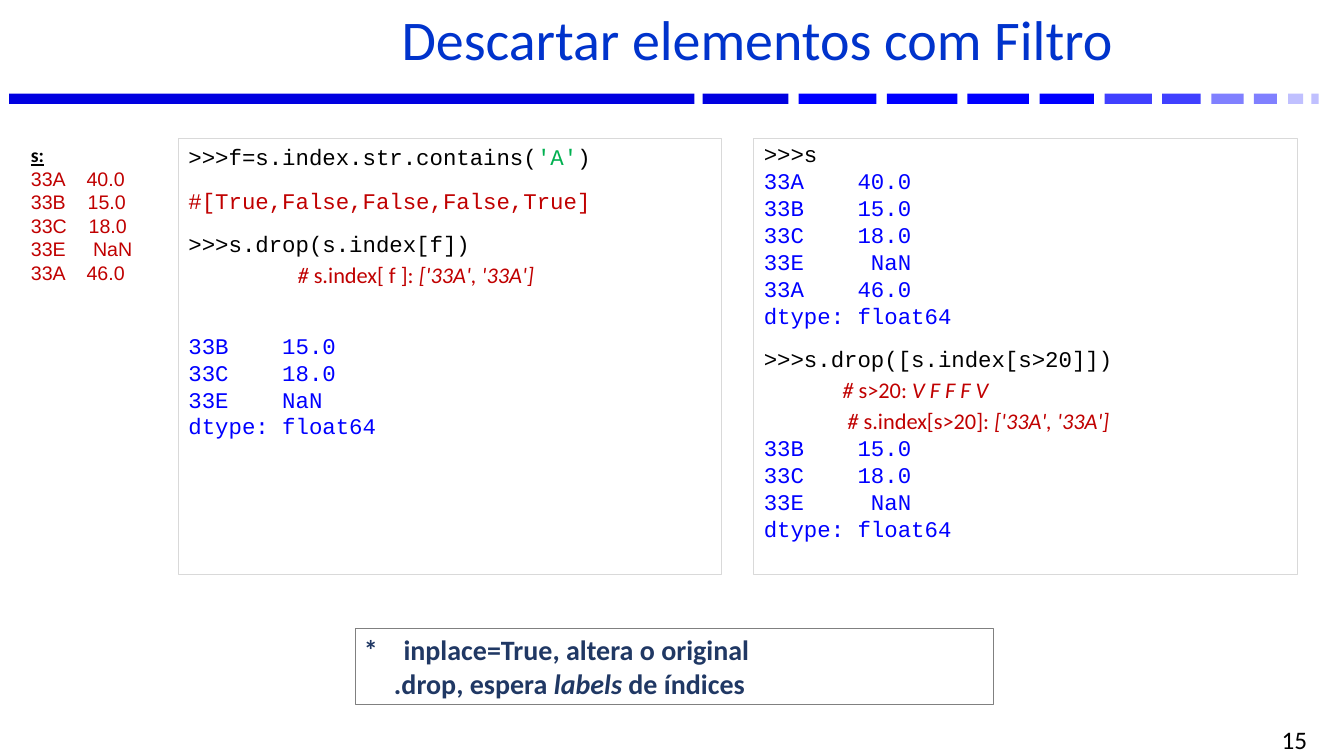
import pptx
import pptx.util
import pptx.dml.color
import pptx.enum.shapes
import pptx.enum.text
import pptx.oxml

COLORS = {
    "title": "0033CC", "black": "000000", "output": "0000FF",
    "comment": "C00000", "string": "00B050", "note": "203864",
    "panel": "D9D9D9", "note_line": "808080",
    "bar_dark": "0000E0", "bar_blue": "0000FF", "bar_mid": "4040FF",
    "bar_light": "8080FF", "bar_pale": "C0C0FF",
}
CODE, SANS, PLAIN = "Courier New", "Calibri", "Arial"
ALIGN = pptx.enum.text.PP_ALIGN
ANCHOR = pptx.enum.text.MSO_ANCHOR


class SlideWriter:
    def __init__(self, slide):
        self.slide = slide

    def rgb(self, name):
        return pptx.dml.color.RGBColor.from_string(COLORS[name])

    def bar(self, left, width, color):
        shape = self.slide.shapes.add_shape(
            pptx.enum.shapes.MSO_SHAPE.RECTANGLE,
            *(pptx.util.Cm(v) for v in (left, 2.36, width, 0.26)))
        shape.shadow.inherit = False
        shape.fill.solid()
        shape.fill.fore_color.rgb = self.rgb(color)
        shape.line.fill.background()

    def box(self, left, top, width, height, paras, line=None,
            anchor=ANCHOR.TOP, inset=(0.25, 0.13)):
        box = self.slide.shapes.add_textbox(
            *(pptx.util.Cm(v) for v in (left, top, width, height)))
        if line:
            box.line.color.rgb = self.rgb(line)
            box.line.width = pptx.util.Pt(0.75)
        frame = box.text_frame
        frame.word_wrap = True
        frame.vertical_anchor = anchor
        frame.margin_left = frame.margin_right = pptx.util.Cm(inset[0])
        frame.margin_top = frame.margin_bottom = pptx.util.Cm(inset[1])
        for index, options in enumerate(paras):
            para = frame.paragraphs[0] if index == 0 else frame.add_paragraph()
            self.para(para, **options)

    def para(self, para, spans, size=16, before=0, margin=0, hanging=0,
             align=ALIGN.LEFT, spacing=None):
        para.alignment = align
        para.space_before = pptx.util.Pt(before)
        if spacing:
            para.line_spacing = spacing
        properties = para._p.get_or_add_pPr()
        properties.set("marL", str(pptx.util.Cm(margin)))
        properties.set("indent", str(-pptx.util.Cm(hanging)))
        for text, font, color, style in spans:
            span = para.add_run()
            span.text = text
            span.font.name = font
            span.font.size = pptx.util.Pt(size)
            span.font.color.rgb = self.rgb(color)
            span.font.bold = "b" in style
            span.font.italic = "i" in style
            span.font.underline = "u" in style


def code(text, color="black", before=0, **options):
    return dict(spans=[(text, CODE, color, "")], before=before,
                margin=1.27, hanging=1.27, **options)


def output(lines, before=0):
    return [code(line, "output", before if index == 0 else 0)
            for index, line in enumerate(lines)]


def comment(mark, label, value, margin, hanging):
    spans = [(mark, SANS, "comment", "i"), (label, SANS, "comment", ""),
             (value, SANS, "comment", "i")]
    return dict(spans=spans, before=3, margin=margin, hanging=hanging)


def main():
    deck = pptx.Presentation()
    deck.slide_width = pptx.util.Cm(33.87)
    deck.slide_height = pptx.util.Cm(19.05)
    page = SlideWriter(deck.slides.add_slide(deck.slide_layouts[6]))

    for left, width, color in [
            (0.23, 17.27, "bar_dark"), (17.71, 2.16, "bar_dark"),
            (20.13, 1.96, "bar_blue"), (22.35, 1.78, "bar_blue"),
            (24.38, 1.55, "bar_blue"), (26.2, 1.37, "bar_blue"),
            (27.84, 1.19, "bar_mid"), (29.29, 0.97, "bar_mid"),
            (30.53, 0.81, "bar_light"), (31.6, 0.58, "bar_light"),
            (32.46, 0.38, "bar_pale"), (33.05, 0.18, "bar_pale")]:
        page.bar(left, width, color)

    page.box(4.93, 0.15, 28.3, 1.96, [dict(
        spans=[("Descartar elementos com Filtro", SANS, "title", "")],
        size=40, align=ALIGN.CENTER, spacing=0.8)], anchor=ANCHOR.MIDDLE)

    series = ["33A    40.0", "33B    15.0", "33C    18.0",
              "33E     NaN", "33A    46.0"]
    kept = series[1:4]
    dtype = "dtype: float64"

    filter_code = dict(before=12, spans=[
        (">>>f=s.index.str.contains(", CODE, "black", ""),
        ("'A'", CODE, "string", ""), (")", CODE, "black", "")])
    page.box(4.5, 3.48, 13.69, 11, [
        filter_code,
        code("#[True,False,False,False,True]", "comment", 12),
        code(">>>s.drop(s.index[f])", before=12),
        comment("# ", "s.index[ f ]:", " ['33A', '33A']", 3.33, 0.58),
        *output([*kept[:2], "33E    NaN", dtype], before=31),
    ], line="panel")

    page.box(19, 3.48, 13.69, 11, [
        code(">>>s", spacing=0.9),
        *output([*series, dtype]),
        code(">>>s.drop([s.index[s>20]])", before=12),
        comment("# ", "s>20:", " V F F F V", 3.33, 1.35),
        comment(" # ", "s.index[s>20]:", " ['33A', '33A']", 4.6, 2.62),
        *output([*kept, dtype]),
    ], line="panel")

    page.box(25.04, 18.36, 7.9, 0.56, [dict(
        spans=[("15", SANS, "black", "")], size=18, align=ALIGN.RIGHT)],
        anchor=ANCHOR.MIDDLE, inset=(0, 0))

    page.box(0.53, 3.48, 3.15, 4.45, [
        dict(spans=[("s:", SANS, "black", "bu")], size=14),
        *(dict(spans=[(row, PLAIN, "comment", "")], size=14)
          for row in series)])

    page.box(8.97, 15.85, 16.08, 1.9, [
        dict(spans=[("*\tinplace=True, altera o original", SANS, "note", "b")],
             size=20, margin=1, hanging=1),
        dict(spans=[(".drop, espera ", SANS, "note", "b"),
                    ("labels", SANS, "note", "bi"),
                    (" de índices", SANS, "note", "b")],
             size=20, margin=0.76),
    ], line="note_line", inset=(0.2, 0.1))

    deck.save("out.pptx")


if __name__ == "__main__":
    main()
